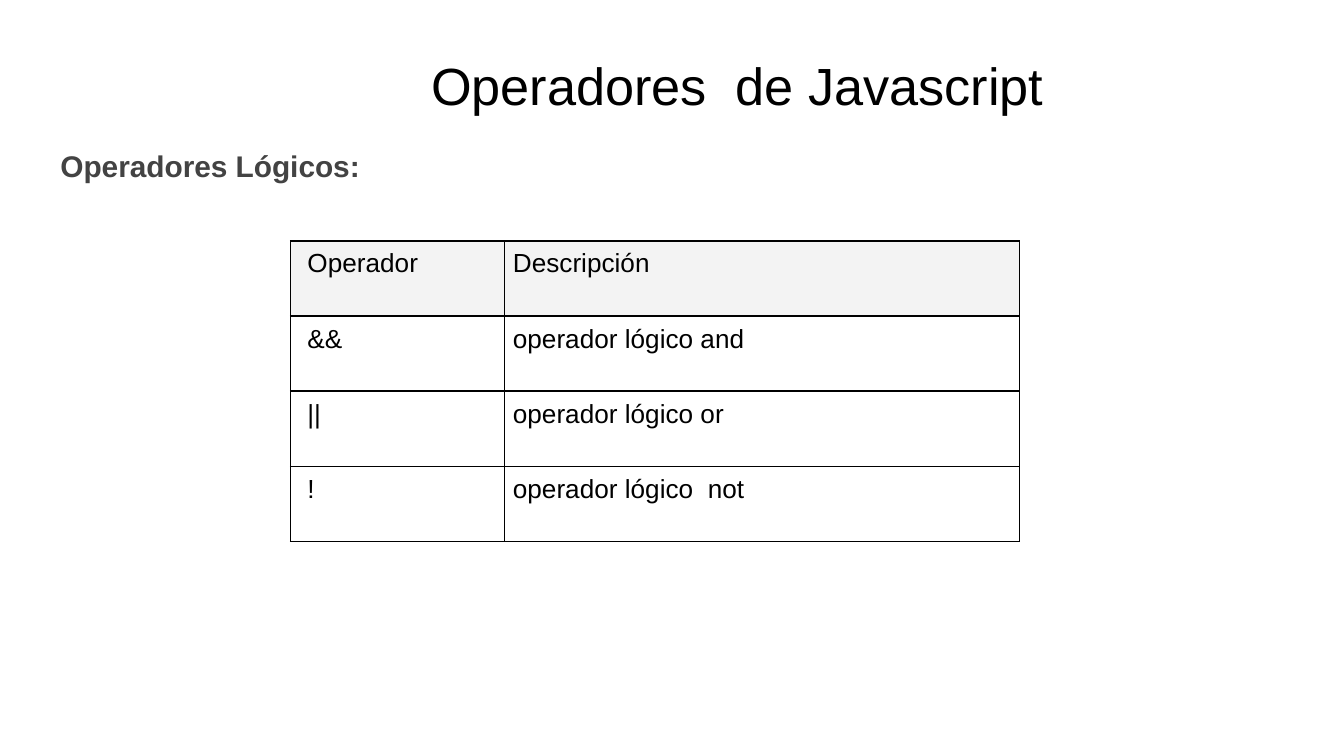
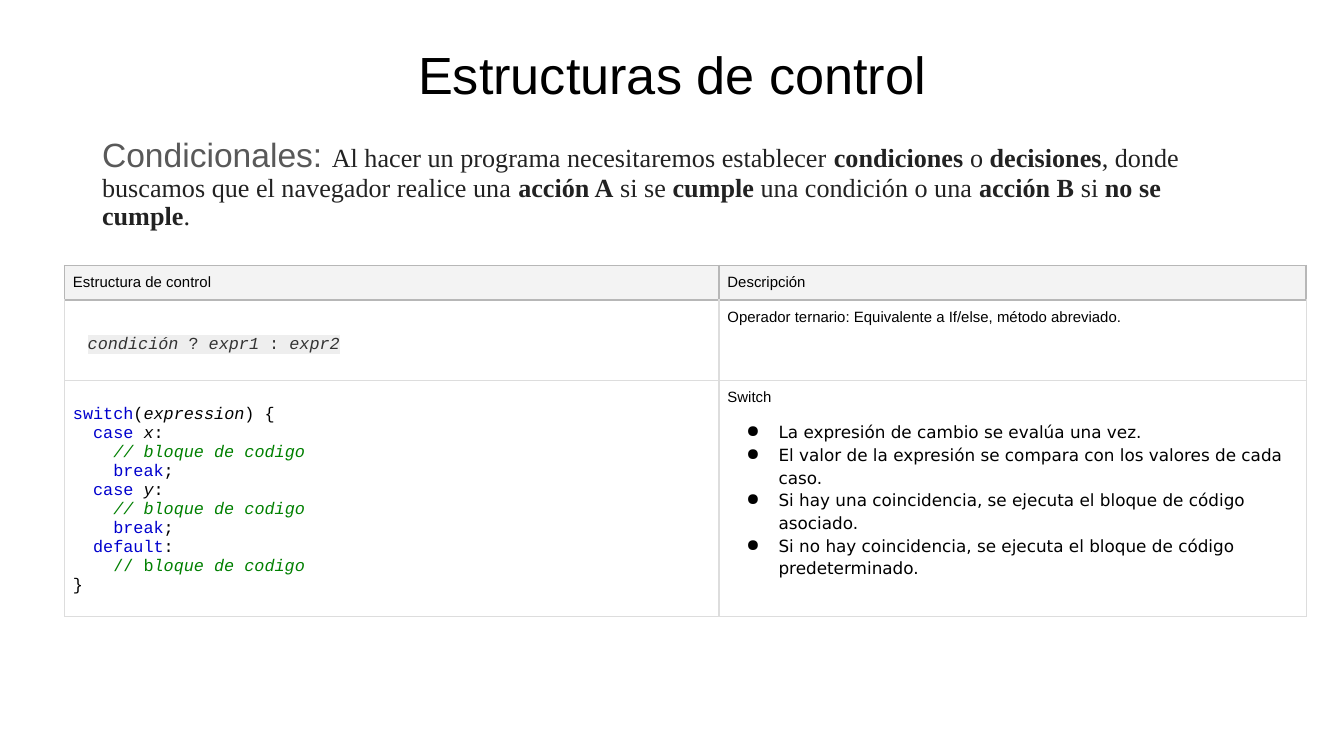
"""Build two slides on JavaScript operators and control structures."""
from lxml import etree
from pptx import Presentation
from pptx import util as u
from pptx.dml import color
from pptx.enum import text
from pptx.oxml import ns

Pt = u.Pt


def font(face, size, ink, **more):
    return {"name": face, "size": Pt(size), "ink": ink, **more}


class Theme:
    black, blue, green, white = "000000", "0000CD", "008000", "FFFFFF"
    head, mark, grid, pale = "F3F3F3", "EEEEEE", "B7B7B7", "DDDDDD"
    sans, mono, serif = "Arial", "Courier New", "Times New Roman"
    fonts = {
        "title": font(sans, 28, black),
        "lead": font(sans, 16, "434343", bold=True),
        "topic": font(sans, 18, "595959"),
        "prose": font(serif, 14, "222222"),
        "strong": font(serif, 14, "222222", bold=True),
        "cell": font(sans, 14, black),
        "small": font(sans, 8, black),
        "item": font("DejaVu Sans", 9, black),
        "code": font(mono, 9, black),
        "name": font(mono, 9, black, italic=True),
        "key": font(mono, 9, blue),
        "note": font(mono, 9, green, italic=True),
        "plain": font(mono, 9, green),
        "sign": font(mono, 9, "333333", mark=mark),
        "term": font(mono, 9, "333333", italic=True, mark=mark),
    }
    inset = {"margin_left": Pt(5), "margin_right": Pt(5),
             "margin_top": Pt(2.9), "margin_bottom": Pt(2.9)}
    pad = 4.5
    blank = 9.2
    step = 10.8


def apply(target, form):
    for key, value in form.items():
        setattr(target, key, value)


def node(parent, tag, **attrs):
    return etree.SubElement(parent, ns.qn(tag), attrs)


def add_run(para, words, style):
    form = dict(Theme.fonts[style])
    ink, mark = form.pop("ink"), form.pop("mark", None)
    run = para.add_run()
    run.text = words
    apply(run.font, form)
    run.font.color.rgb = color.RGBColor.from_string(ink)
    if mark:
        light = etree.Element(ns.qn("a:highlight"))
        node(light, "a:srgbClr", val=mark)
        run.font._element.find(ns.qn("a:solidFill")).addnext(light)


def fill_text(frame, paras):
    for place, (form, runs) in enumerate(paras):
        para = frame.add_paragraph() if place else frame.paragraphs[0]
        form = dict(form)
        left, hang = form.pop("indent", (0, 0))
        dot = form.pop("bullet", None)
        apply(para, form)
        props = para._p.get_or_add_pPr()
        props.set("marL", str(Pt(left)))
        props.set("indent", str(Pt(hang)))
        if dot:
            node(node(props, "a:buClr"), "a:srgbClr", val=Theme.black)
            node(props, "a:buChar", char=dot)
        for words, style in runs:
            add_run(para, words, style)


def add_text(slide, box, paras, **form):
    frame = slide.shapes.add_textbox(*map(Pt, box)).text_frame
    apply(frame, {"word_wrap": True, **Theme.inset, **form})
    fill_text(frame, paras)


def add_title(slide, top, height, words, shift=0):
    form = {"alignment": text.PP_ALIGN.CENTER, "line_spacing": 0.9}
    add_text(slide, (49.7, top, 620.6, height), [(form, [(words, "title")])],
             vertical_anchor=text.MSO_ANCHOR.MIDDLE, margin_left=Pt(5 + shift))


def add_edge(cell, sides, ink, width):
    props = cell._tc.get_or_add_tcPr()
    for place, side in enumerate(sides):
        line = etree.Element(ns.qn("a:ln" + side), {"w": str(Pt(width))})
        node(node(line, "a:solidFill"), "a:srgbClr", val=ink)
        props.insert(place, line)


def add_grid(slide, spot, cols, rows, cells, pads, edges):
    size = sum(cols), sum(rows)
    table = slide.shapes.add_table(
        len(rows), len(cols), *map(Pt, spot + size)).table
    apply(table, {"first_row": False, "horz_banding": False})
    for col, width in zip(table.columns, cols):
        col.width = Pt(width)
    for row, height in zip(table.rows, rows):
        row.height = Pt(height)
    for down, line in enumerate(cells):
        for across, paras in enumerate(line):
            cell = table.cell(down, across)
            left, top = pads(down, across)
            apply(cell, {"margin_left": Pt(left), "margin_top": Pt(top),
                         "margin_right": Pt(Theme.pad),
                         "margin_bottom": Pt(Theme.pad)})
            cell.fill.solid()
            shade = Theme.white if down else Theme.head
            cell.fill.fore_color.rgb = color.RGBColor.from_string(shade)
            for place, side in enumerate("LRTB"):
                ink, width = edges(down, side)
                add_edge(cell, [side], ink, width) if not place else None
            props = cell._tc.tcPr
            for place, side in enumerate("RTB", 1):
                add_edge(cell, [side], *edges(down, side))
                props.insert(place, props[0])
            fill_text(cell.text_frame, paras)


def one(words, style):
    return [({}, [(words, style)])]


def code(level, *runs):
    return {"indent": (level * Theme.step, 0)}, runs


def branch(name):
    return [code(1, ("case", "key"), (" ", "code"), (name, "name"),
                 (":", "code")),
            code(2, ("// bloque de codigo", "note")),
            code(2, ("break", "key"), (";", "code"))]


def bullets(items):
    form = {"indent": (27.4, -17.3), "line_spacing": 1.15, "bullet": "●"}
    return [({**form, "space_before": Pt(0 if place else 8)},
             [(words, "item")]) for place, words in enumerate(items)]


def draw_logic(slide):
    add_title(slide, 21.6, 51.8, "Operadores  de Javascript", 70)
    form = {"line_spacing": 1.15, "space_before": Pt(12),
            "space_after": Pt(3)}
    add_text(slide, (27.4, 73.4, 643, 312.5),
             [(form, [("Operadores Lógicos:", "lead")])])
    rows = [("Operador", "Descripción"), ("&&", "operador lógico and"),
            ("||", "operador lógico or"), ("!", "operador lógico  not")]
    cells = [[one(words, "cell") for words in row] for row in rows]
    add_grid(slide, (155.7, 129), (114.6, 275.8), [40.3] * 4, cells,
             lambda down, across: (4.5 if across else 9, Theme.pad),
             lambda down, side: (Theme.black, 1))


def draw_control(slide):
    add_title(slide, 12.2, 58.3, "Estructuras de control")
    parts = ["Al hacer un programa necesitaremos establecer ", "condiciones",
             " o ", "decisiones",
             ", donde buscamos que el navegador realice una ", "acción A",
             " si se ", "cumple", " una condición o una ", "acción B",
             " si ", "no se cumple", "."]
    runs = [("Condicionales: ", "topic")]
    runs += [(words, "strong" if place % 2 else "prose")
             for place, words in enumerate(parts)]
    form = {"line_spacing": 0.9, "space_before": Pt(8)}
    add_text(slide, (49.7, 71.3, 620.6, 52.6), [(form, runs)])

    choice = [({"indent": (7.9, 0), "line_spacing": 1.5},
               [("condición ", "term"), ("? ", "sign"), ("expr1", "term"),
                (" : ", "sign"), ("expr2", "term")])]
    switch = [code(0, ("switch", "key"), ("(", "code"),
                   ("expression", "name"), (") {", "code")),
              *branch("x"), *branch("y"),
              code(1, ("default", "key"), (":", "code")),
              code(2, ("// b", "plain"), ("loque de codigo", "note")),
              code(0, ("}", "code"))]
    facts = bullets([
        "La expresión de cambio se evalúa una vez.",
        "El valor de la expresión se compara con los valores de cada caso.",
        "Si hay una coincidencia, se ejecuta el bloque de código asociado.",
        "Si no hay coincidencia, se ejecuta el bloque de código "
        "predeterminado."])
    brief = "Operador ternario: Equivalente a If/else, método abreviado."
    cells = [[one("Estructura de control", "small"),
              one("Descripción", "small")],
             [choice, one(brief, "small")],
             [switch, one("Switch", "small") + facts]]

    def pads(down, across):
        lower = down and not across
        return Theme.pad, Theme.pad + (Theme.blank if lower else 0)

    def edges(down, side):
        strong = down == 0 or (down == 1 and side == "T")
        return (Theme.grid, 1) if strong else (Theme.pale, 0.75)

    add_grid(slide, (34.6, 142.3), (350.6, 314.6), (17.8, 42.8, 120),
             cells, pads, edges)


def main():
    deck = Presentation()
    apply(deck, {"slide_width": Pt(720), "slide_height": Pt(405)})
    for draw in (draw_logic, draw_control):
        draw(deck.slides.add_slide(deck.slide_layouts[6]))
    deck.save("out.pptx")


main()
